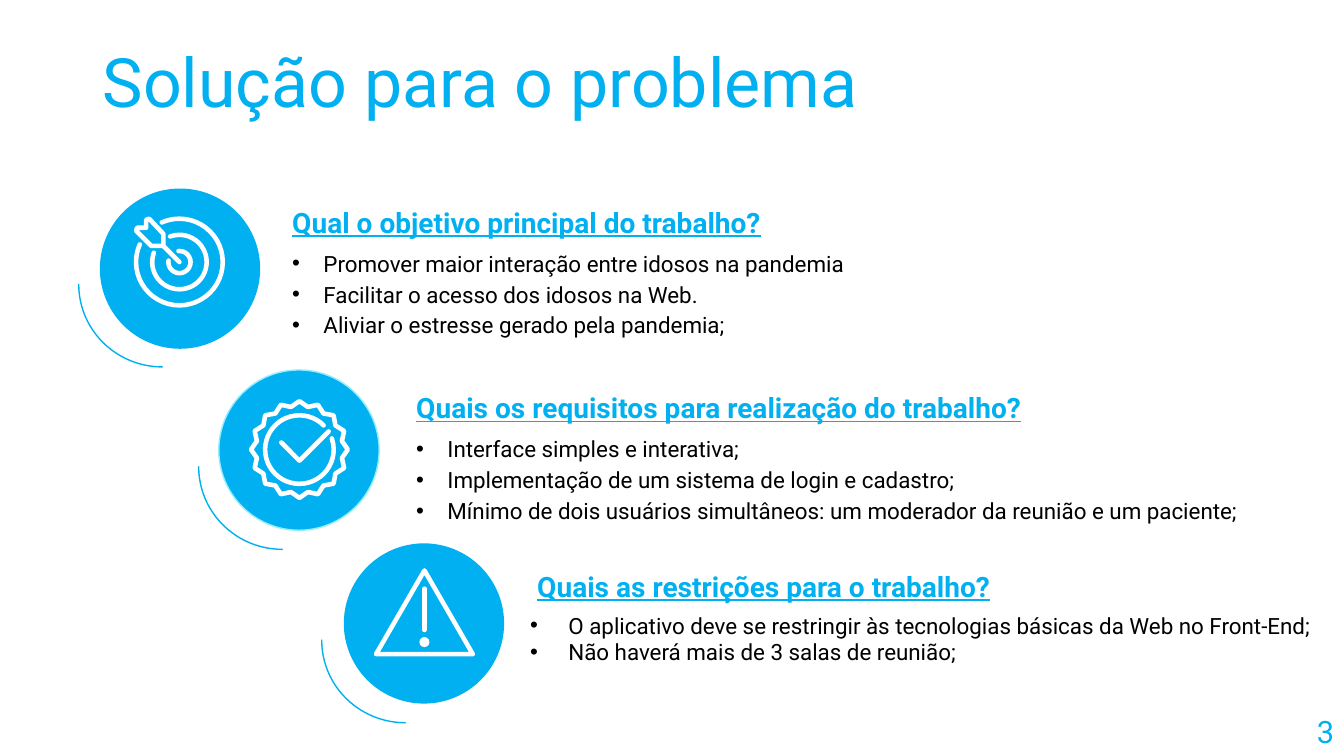
from math import cos, pi, sin

from lxml import etree
from pptx import Presentation
from pptx.dml.color import RGBColor
from pptx.enum.shapes import MSO_SHAPE
from pptx.enum.text import MSO_ANCHOR, PP_ALIGN
from pptx.oxml.ns import qn
from pptx.util import Emu, Pt

ELLIPSE, ARC = MSO_SHAPE.OVAL, MSO_SHAPE.ARC
TOP, MIDDLE, BOTTOM = MSO_ANCHOR.TOP, MSO_ANCHOR.MIDDLE, MSO_ANCHOR.BOTTOM
LEFT, RIGHT = PP_ALIGN.LEFT, PP_ALIGN.RIGHT

COLORS = {"blue": "00B0F0", "pale": "90EDFE", "white": "FFFFFF", "black": "000000"}
FONT = "Roboto"
PX = 9144
ICON_LINE = 3.25

TOPICS = [
    {
        "badge": (99, 187), "arc": (78, 200),
        "heading": ("Qual o objetivo principal do trabalho?", (280, 192, 492, 50)),
        "items": [
            "Promover maior interação entre idosos na pandemia",
            "Facilitar o acesso dos idosos na Web.",
            "Aliviar o estresse gerado pela pandemia;",
        ],
        "list": {"area": (280, 239, 611, 70), "indent": 31, "spacing": 1.15},
    },
    {
        "badge": (217, 367), "arc": (197, 381), "rim": "pale",
        "heading": ("Quais os requisitos para realização do trabalho?", (403, 376, 693, 50)),
        "items": [
            "Interface simples e interativa;",
            "Implementação de um sistema de login e cadastro;",
            "Mínimo de dois usuários simultâneos: um moderador da reunião e um paciente;",
        ],
        "list": {"area": (403, 423, 863, 108), "indent": 31, "spacing": 1.15},
    },
    {
        "badge": (341, 539), "arc": (319, 553),
        "heading": ("Quais as restrições para o trabalho?", (523, 553, 620, 50)),
        "items": [
            "O aplicativo deve se restringir às tecnologias básicas da Web no Front-End;",
            "Não haverá mais de 3 salas de reunião;",
        ],
        "list": {"area": (516, 602, 817, 70), "indent": 38, "spacing": 1.0},
    },
]


def px(length):
    """Turn px into EMU."""
    return Emu(round(length * PX))


def write(para, text, size=16, color="black", bold=False, underline=False,
          align=LEFT, spacing=1.0, before=0, indent=0):
    """Fill one paragraph with formatted text, bulleted when indented."""
    para.alignment, para.line_spacing, para.space_before = align, spacing, Pt(before)
    span = para.add_run()
    span.text = text
    font = span.font
    font.name, font.size, font.bold, font.underline = FONT, Pt(size), bold, underline
    font.color.rgb = RGBColor.from_string(COLORS[color])
    if indent:
        properties = para._p.get_or_add_pPr()
        properties.set("marL", str(px(indent)))
        properties.set("indent", str(-px(indent)))
        etree.SubElement(properties, qn("a:buFont")).set("typeface", "Arial")
        etree.SubElement(properties, qn("a:buChar")).set("char", "•")


class Page:
    """Draws styled elements on one slide."""

    def __init__(self, slide):
        """Keep the slide's shapes."""
        self.shapes = slide.shapes

    def text(self, area, texts, anchor=TOP, **style):
        """Add a text box with one paragraph per text."""
        box = self.shapes.add_textbox(*map(px, area))
        frame = box.text_frame
        frame.word_wrap, frame.vertical_anchor = True, anchor
        for index, text in enumerate(texts):
            para = frame.add_paragraph() if index else frame.paragraphs[0]
            write(para, text, **style)

    def paint(self, shape, fill=None, line=None, width=1):
        """Set fill and line, with rounded ends and corners."""
        shape.shadow.inherit = False
        if fill:
            shape.fill.solid()
            shape.fill.fore_color.rgb = RGBColor.from_string(COLORS[fill])
        else:
            shape.fill.background()
        if line:
            shape.line.color.rgb = RGBColor.from_string(COLORS[line])
            shape.line.width = Pt(width)
            stroke = shape.line._get_or_add_ln()
            stroke.set("cap", "rnd")
            etree.SubElement(stroke, qn("a:round"))
        else:
            shape.line.fill.background()
        return shape

    def preset(self, kind, area, **look):
        """Add a painted preset shape."""
        return self.paint(self.shapes.add_shape(kind, *map(px, area)), **look)

    def ring(self, center, radius, start, end):
        """Add a white ring open between two clockwise angles."""
        x, y = center
        area = (x - radius, y - radius, 2 * radius, 2 * radius)
        ring = self.preset(ARC, area, line="white", width=ICON_LINE)
        ring.adjustments[0], ring.adjustments[1] = start * 0.6, end * 0.6

    def outline(self, points, close=True):
        """Add a white outline through the points."""
        corners = [(px(x), px(y)) for x, y in points]
        builder = self.shapes.build_freeform(*corners[0])
        builder.add_line_segments(corners[1:], close=close)
        self.paint(builder.convert_to_shape(), line="white", width=ICON_LINE)

    def topic(self, topic):
        """Add a badge with its arc, heading and list."""
        self.preset(ARC, (*topic["arc"], 166, 164), line="blue").rotation = 180
        self.preset(ELLIPSE, (*topic["badge"], 159, 159), fill="blue", line=topic.get("rim"))
        heading, area = topic["heading"]
        self.text(area, [heading], BOTTOM, size=20, color="blue", bold=True, underline=True)
        self.text(texts=topic["items"], **topic["list"])

    def target(self, center):
        """Add the target icon with its dart."""
        for radius, start, end in [(43, 246, 204), (27, 250, 200), (11, 265, 188)]:
            self.ring(center, radius, start, end)
        self.outline([(148, 217), (145, 218), (145, 226), (136, 226), (135, 229),
                      (150, 244), (162, 244), (162, 232)])
        self.outline([(162, 244), center], close=False)

    def seal(self, center, lobes=16):
        """Add the approval seal icon."""
        x, y = center
        edge = []
        for step in range(2 * lobes):
            radius, angle = (43 if step % 2 else 48), step * pi / lobes
            edge.append((x + radius * sin(angle), y - radius * cos(angle)))
        self.outline(edge)
        self.ring(center, 34, 341, 315)
        self.outline([(279, 439), (297, 457), (326, 428)], close=False)

    def warning(self):
        """Add the warning triangle icon."""
        self.outline([(421, 566), (373, 649), (469, 649)])
        self.outline([(421, 584), (421, 625)], close=False)
        self.preset(ELLIPSE, (416, 632, 10, 10), fill="white")


def main():
    """Build and save the deck."""
    deck = Presentation()
    deck.slide_width, deck.slide_height = px(1333), px(750)
    page = Page(deck.slides.add_slide(deck.slide_layouts[6]))
    page.text((92, 40, 1150, 90), ["Solução para o problema"], MIDDLE,
              size=48.6, color="blue", spacing=0.9)
    for topic in TOPICS:
        page.topic(topic)
    page.target((178, 260))
    page.seal((297, 446))
    page.warning()
    page.text((1033, 710, 300, 40), ["3"], MIDDLE,
              size=22, color="blue", align=RIGHT, spacing=0.7, before=10)
    deck.save("out.pptx")


if __name__ == "__main__":
    main()
